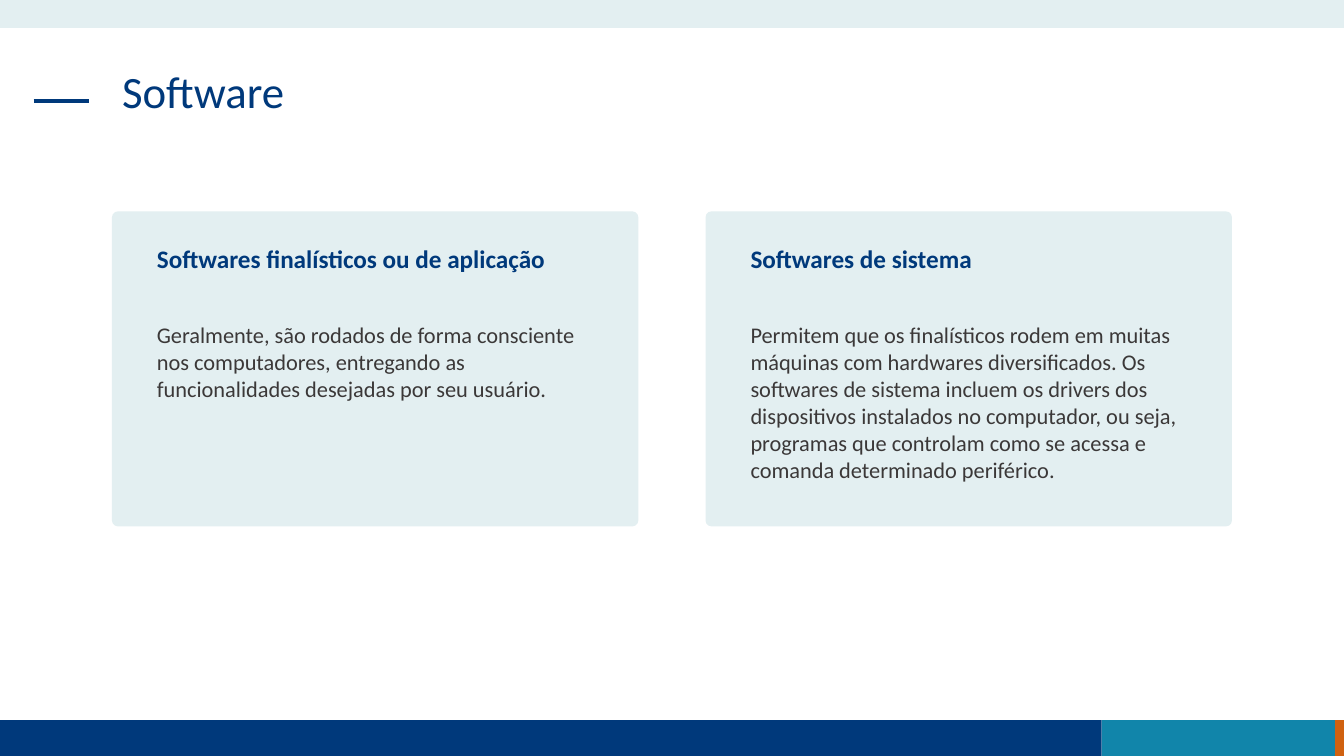
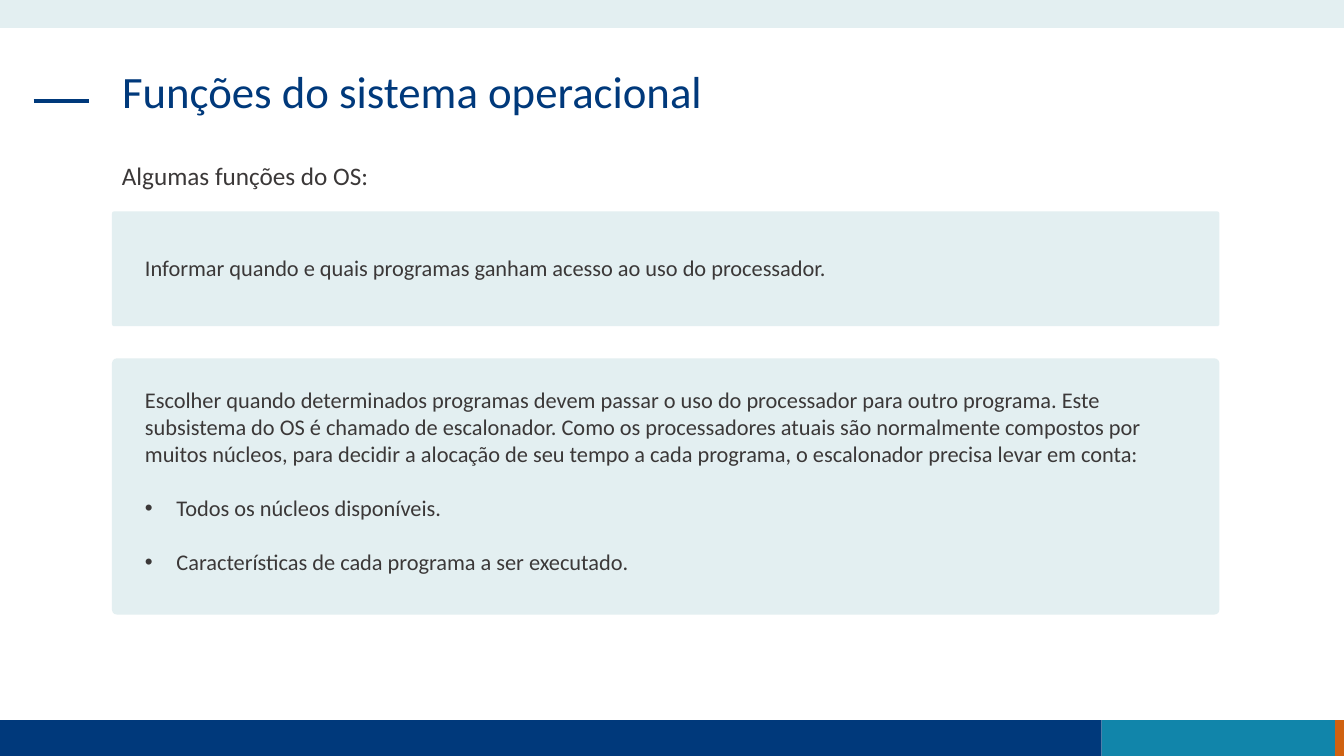
from dataclasses import dataclass

from lxml import etree
from pptx import Presentation
from pptx.dml.color import RGBColor
from pptx.enum.shapes import MSO_CONNECTOR, MSO_SHAPE
from pptx.enum.text import MSO_ANCHOR, MSO_AUTO_SIZE, PP_ALIGN
from pptx.oxml.ns import qn
from pptx.util import Pt

RECT, ROUND = MSO_SHAPE.RECTANGLE, MSO_SHAPE.ROUNDED_RECTANGLE
STRAIGHT = MSO_CONNECTOR.STRAIGHT
TOP, LEFT, NO_FIT = MSO_ANCHOR.TOP, PP_ALIGN.LEFT, MSO_AUTO_SIZE.NONE


@dataclass(frozen=True)
class Theme:
    font: str = "Calibri"
    navy: str = "00397B"
    teal: str = "1185AA"
    orange: str = "D06110"
    pale: str = "E3EFF1"
    ink: str = "3B3838"
    title: int = 32
    heading: int = 18
    body: int = 16
    para_gap: float = 19.5
    indent: float = 22.5
    corner: float = 0.019


T = Theme()
SLIDE_W, SLIDE_H = 960, 540
MARGIN, CARD_TOP = 80, 151
BAND_TOP = 514.5

BANDS = [
    (930, BAND_TOP, 30, SLIDE_H - BAND_TOP, T.orange),
    (0, BAND_TOP, 787, SLIDE_H - BAND_TOP, T.navy),
    (787, BAND_TOP, 166.5, SLIDE_H - BAND_TOP, T.teal),
    (0, 0, SLIDE_W, 20, T.pale),
]

SOFTWARE_TITLE = "Software"
SOFTWARE_CARDS = [
    ("Softwares finalísticos ou de aplicação",
     "Geralmente, são rodados de forma consciente nos computadores, entregando as "
     "funcionalidades desejadas por seu usuário."),
    ("Softwares de sistema",
     "Permitem que os finalísticos rodem em muitas máquinas com hardwares "
     "diversificados. Os softwares de sistema incluem os drivers dos dispositivos "
     "instalados no computador, ou seja, programas que controlam como se acessa e "
     "comanda determinado periférico."),
]

FUNCTIONS_TITLE = "Funções do sistema operacional"
FUNCTIONS_INTRO = "Algumas funções do OS:"
FUNCTION_CARDS = [
    (82, 27, "Informar quando e quais programas ganham acesso ao uso do processador.", []),
    (183, 16.5,
     "Escolher quando determinados programas devem passar o uso do processador para "
     "outro programa. Este subsistema do OS é chamado de escalonador. Como os "
     "processadores atuais são normalmente compostos por muitos núcleos, para decidir "
     "a alocação de seu tempo a cada programa, o escalonador precisa levar em conta:",
     ["Todos os núcleos disponíveis.",
      "Características de cada programa a ser executado."]),
]


def rgb(color):
    return RGBColor.from_string(color)


def format_runs(p, size, color, bold=False):
    for r in p.runs:
        r.font.name = T.font
        r.font.size = Pt(size)
        r.font.bold = bold
        r.font.color.rgb = rgb(color)


def add_block(shapes, kind, x, y, w, h, color):
    sp = shapes.add_shape(kind, Pt(x), Pt(y), Pt(w), Pt(h))
    sp.shadow.inherit = False
    sp.fill.solid()
    sp.fill.fore_color.rgb = rgb(color)
    sp.line.fill.background()
    return sp


def add_card(slide, x, y, w, h):
    group = slide.shapes.add_group_shape()
    sp = add_block(group.shapes, ROUND, x, y, w, h, T.pale)
    sp.adjustments[0] = T.corner
    return group.shapes


def add_bullet(p):
    pPr = p._p.get_or_add_pPr()
    pPr.set("marL", str(Pt(T.indent)))
    pPr.set("indent", str(-Pt(T.indent)))
    etree.SubElement(pPr, qn("a:buFont")).set("typeface", "Arial")
    etree.SubElement(pPr, qn("a:buChar")).set("char", "•")


def add_text(shapes, x, y, w, h, text, size, color=T.ink, bold=False, bullets=()):
    tf = shapes.add_textbox(Pt(x), Pt(y), Pt(w), Pt(h)).text_frame
    tf.word_wrap = True
    tf.text = text
    for item in bullets:
        p = tf.add_paragraph()
        p.text = item
        p.space_before = Pt(T.para_gap)
        add_bullet(p)
    for p in tf.paragraphs:
        format_runs(p, size, color, bold)


def decorate_layout(layout, slide):
    parts = [add_block(slide.shapes, RECT, *band) for band in BANDS]
    dash = slide.shapes.add_connector(STRAIGHT, Pt(24), Pt(72), Pt(63.5), Pt(72))
    dash.line.color.rgb = rgb(T.navy)
    dash.line.width = Pt(3)
    etree.SubElement(dash.element.spPr, qn("a:effectLst"))
    for number, part in enumerate(parts + [dash], 101):
        part.element.xpath(".//p:cNvPr")[0].set("id", str(number))
        layout.shapes.element.append(part.element)


def add_slide(prs, layout, title):
    slide = prs.slides.add_slide(layout)
    sp = slide.shapes.title
    sp.left, sp.top, sp.width, sp.height = Pt(MARGIN), Pt(46), Pt(799), Pt(68)
    tf = sp.text_frame
    tf.text = title
    tf.word_wrap = True
    tf.auto_size = NO_FIT
    tf.vertical_anchor = TOP
    p = tf.paragraphs[0]
    p.alignment = LEFT
    p.line_spacing = 0.9
    format_runs(p, T.title, T.navy)
    return slide


def fill_software(slide):
    w, h, gap, inset = 376, 225, 48, 25
    for i, (heading, text) in enumerate(SOFTWARE_CARDS):
        x = MARGIN + i * (w + gap)
        shapes = add_card(slide, x, CARD_TOP, w, h)
        add_text(shapes, x + inset, CARD_TOP + 19, 326, 29, heading, T.heading, T.navy, True)
        add_text(shapes, x + inset, CARD_TOP + 75, 326, 124, text, T.body)


def fill_functions(slide):
    add_text(slide.shapes, MARGIN, 111, 768, 29, FUNCTIONS_INTRO, T.heading)
    w, gap, inset = 791, 23, 16.5
    y = CARD_TOP
    for h, pad, text, bullets in FUNCTION_CARDS:
        shapes = add_card(slide, MARGIN, y, w, h)
        add_text(shapes, MARGIN + inset, y + pad, 767, h - 2 * pad, text, T.body,
                 bullets=bullets)
        y += h + gap


def main():
    prs = Presentation()
    prs.slide_width, prs.slide_height = Pt(SLIDE_W), Pt(SLIDE_H)
    layout = prs.slide_layouts.get_by_name("Title Only")
    software = add_slide(prs, layout, SOFTWARE_TITLE)
    decorate_layout(layout, software)
    fill_software(software)
    fill_functions(add_slide(prs, layout, FUNCTIONS_TITLE))
    prs.save("out.pptx")


if __name__ == "__main__":
    main()
